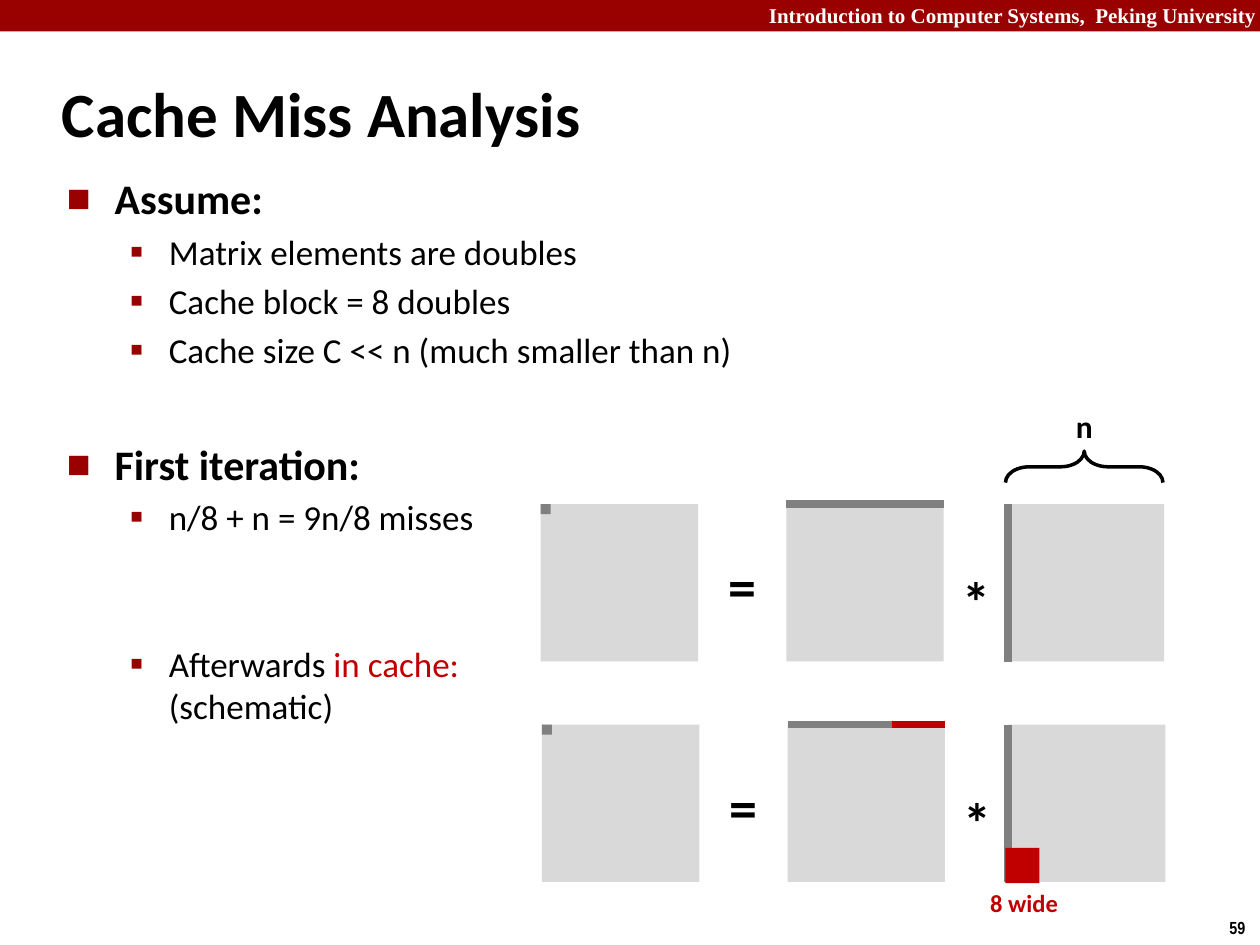
from lxml import etree
from pptx import Presentation
from pptx.dml.color import RGBColor
from pptx.enum.shapes import MSO_CONNECTOR as CONNECTOR, MSO_SHAPE as SHAPE
from pptx.enum.text import MSO_ANCHOR as ANCHOR, MSO_AUTO_SIZE as AUTO_SIZE, PP_ALIGN as ALIGN
from pptx.oxml.ns import qn
from pptx.util import Inches, Pt

rgb = RGBColor.from_string
CRIMSON, RED, GRAY, LIGHT, BLACK, WHITE = "990000", "C00000", "808080", "D9D9D9", "000000", "FFFFFF"

presentation = Presentation()
presentation.slide_width = Inches(10)
presentation.slide_height = Inches(7.5)
slide = presentation.slides.add_slide(presentation.slide_layouts[1])
title, body = slide.placeholders[0], slide.placeholders[1]


def add_rectangle(left, top, width, height, fill):
    shape = slide.shapes.add_shape(SHAPE.RECTANGLE, *map(Inches, (left, top, width, height)))
    shape.shadow.inherit = False
    shape.fill.solid()
    shape.fill.fore_color.rgb = rgb(fill)
    shape.line.fill.background()


def add_text(text, left, top, width, height, size, color=BLACK, name="Calibri", align=ALIGN.LEFT, wrap=False):
    shape = slide.shapes.add_textbox(*map(Inches, (left, top, width, height)))
    shape.text_frame.word_wrap = wrap
    paragraph = shape.text_frame.paragraphs[0]
    paragraph.text = text
    paragraph.alignment = align
    font = paragraph.runs[0].font
    for key, value in {"name": name, "size": Pt(size), "bold": True}.items():
        setattr(font, key, value)
    font.color.rgb = rgb(color)


add_rectangle(0, 0, 10, 0.25, CRIMSON)
add_text("Introduction to Computer Systems,  Peking University", 6, -0.03, 4.07, 0.3, 12,
         WHITE, "Times New Roman", ALIGN.RIGHT, True)
add_text("59", 9.66, 7.23, 0.34, 0.27, 10, name="Arial Narrow")

for placeholder, box, anchor in (
    (title, (0.39, 0.48, 8.3, 0.83), ANCHOR.MIDDLE),
    (body, (0.43, 1.32, 8.64, 3.34), ANCHOR.TOP),
):
    for key, value in zip(("left", "top", "width", "height"), box):
        setattr(placeholder, key, Inches(value))
    for key, value in {"vertical_anchor": anchor, "word_wrap": True, "auto_size": AUTO_SIZE.NONE}.items():
        setattr(placeholder.text_frame, key, value)

title.text_frame.text = "Cache Miss Analysis"
heading = title.text_frame.paragraphs[0]
heading.alignment = ALIGN.LEFT
for key, value in {"name": "Calibri", "size": Pt(36), "bold": True}.items():
    setattr(heading.font, key, value)
heading.font.color.rgb = rgb(BLACK)

levels = [
    {"margin": 0.38, "indent": -0.38, "bullet": "■", "percent": 60, "font": {"size": Pt(24), "bold": True}},
    {"margin": 0.81, "indent": -0.31, "bullet": "▪", "percent": 110, "font": {"size": Pt(20), "bold": False}},
]
items = [
    (0, 0, [("Assume:", BLACK)]),
    (1, 4, [("Matrix elements are doubles", BLACK)]),
    (1, 4, [("Cache block = 8 doubles", BLACK)]),
    (1, 4, [("Cache size C << n (much smaller than n)", BLACK)]),
    (0, 39, [("First iteration:", BLACK)]),
    (1, 4, [("n/8 + n = 9n/8 misses", BLACK)]),
    (1, 60, [("Afterwards ", BLACK), ("in cache:", RED), None, ("(schematic)", BLACK)]),
]
for index, (level, space, pieces) in enumerate(items):
    paragraph = body.text_frame.paragraphs[0] if index == 0 else body.text_frame.add_paragraph()
    style = levels[level]
    properties = paragraph._p.get_or_add_pPr()
    properties.set("marL", str(Inches(style["margin"])))
    properties.set("indent", str(Inches(style["indent"])))
    bullet_color = etree.SubElement(properties, qn("a:buClr"))
    etree.SubElement(bullet_color, qn("a:srgbClr"), val=CRIMSON)
    etree.SubElement(properties, qn("a:buSzPct"), val=str(style["percent"] * 1000))
    etree.SubElement(properties, qn("a:buFont"), typeface="Calibri")
    etree.SubElement(properties, qn("a:buChar"), char=style["bullet"])
    paragraph.level = level
    paragraph.space_before = Pt(space)
    for piece in pieces:
        if piece is None:
            paragraph.add_line_break()
            continue
        run = paragraph.add_run()
        run.text, color = piece
        for key, value in {"name": "Calibri", **style["font"]}.items():
            setattr(run.font, key, value)
        run.font.color.rgb = rgb(color)

side = 1.25
for left, top, cached in ((4.29, 4, False), (4.3, 5.75, True)):
    row_left, column_left = left + 1.95, left + 3.7
    for matrix_left in (left, row_left, column_left):
        add_rectangle(matrix_left, top, side, side, LIGHT)
    add_rectangle(left, top, 0.08, 0.08, GRAY)
    add_text("=", left + 1.39, top + 0.33, 0.43, 0.64, 32)
    add_text("*", left + 3.25, top + 0.45, 0.43, 0.64, 32)

    strips = [(row_left, top, row_left + side, top, GRAY), (8, top, 8, top + side, GRAY)]
    if cached:
        strips.append((7.08, top, row_left + side, top, RED))
    for *ends, color in strips:
        strip = slide.shapes.add_connector(CONNECTOR.STRAIGHT, *map(Inches, ends))
        strip.line.width = Pt(4.5)
        strip.line.color.rgb = rgb(color)
        etree.SubElement(strip._element.spPr, qn("a:effectLst"))

add_rectangle(7.98, 6.73, 0.27, 0.28, RED)
add_text("8 wide", 7.76, 7, 0.74, 0.34, 14, RED, wrap=True)

brace = slide.shapes.add_shape(SHAPE.LEFT_BRACE, *map(Inches, (8.48, 3.08, 0.25, side)))
brace.rotation = 90
brace.adjustments[0] = 0.75
brace.shadow.inherit = False
brace.fill.background()
brace.line.width = Pt(2)
brace.line.color.rgb = rgb(BLACK)
add_text("n", 8.44, 3.18, 0.34, 0.4, 18)

presentation.save("out.pptx")
